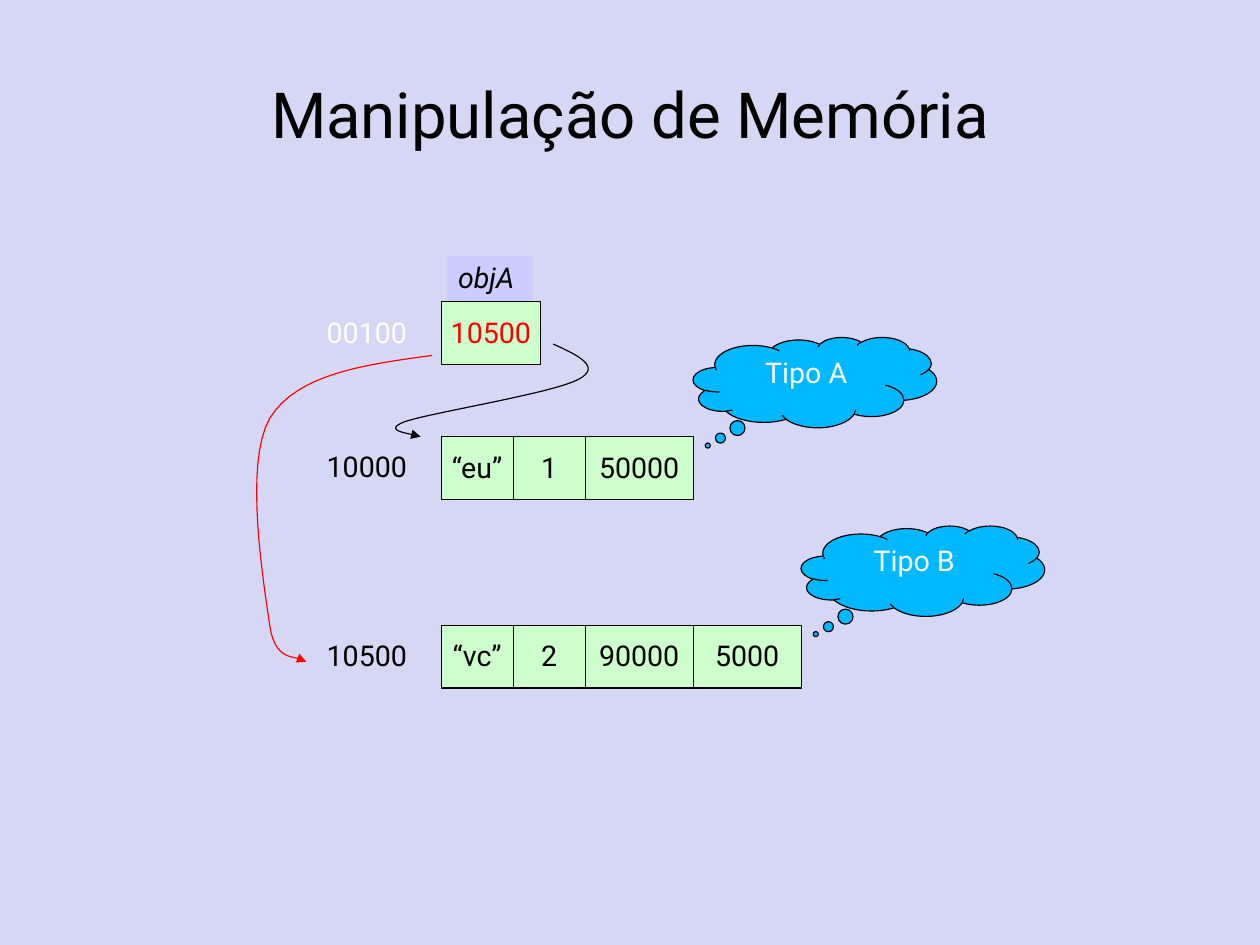
from itertools import accumulate

from lxml.etree import SubElement
from pptx import Presentation
from pptx.dml.color import RGBColor
from pptx.enum.shapes import MSO_SHAPE
from pptx.enum.text import MSO_ANCHOR, PP_ALIGN
from pptx.oxml.ns import qn
from pptx.util import Cm, Inches, Pt

WIDTH, HEIGHT = Cm(28), Cm(21)
LILAC = RGBColor(0xD6, 0xD6, 0xF5)
VIOLET = RGBColor(0xCC, 0xCC, 0xFF)
GREEN = RGBColor(0xCC, 0xFF, 0xCC)
BLUE = RGBColor(0x00, 0xB8, 0xFF)
RED = RGBColor(0xFF, 0x00, 0x00)
BLACK = RGBColor(0x00, 0x00, 0x00)
WHITE = RGBColor(0xFF, 0xFF, 0xFF)

LEFT = 3.86  # left edge of the memory cells
UNIT = 0.63 / 2  # one column of the cell grid
CELL_H = 0.55
ROWS = {"ref": 2.64, "a": 3.82, "b": 5.47}
SPANS = (2, 2, 3, 3)  # columns taken by each field of a record
STEPS = 16


def write(shape, text, color=BLACK, size=18, align=PP_ALIGN.CENTER,
          anchor=MSO_ANCHOR.MIDDLE, wrap=False, italic=False):
    frame = shape.text_frame
    frame.word_wrap = wrap
    frame.vertical_anchor = anchor
    par = frame.paragraphs[0]
    par.alignment = align
    par.line_spacing = 0.97
    run = par.add_run()
    run.text = text
    font = run.font
    font.name, font.size, font.italic = "Roboto", Pt(size), italic
    font.color.rgb = color


def add_box(slide, kind, box, fill, line=BLACK):
    shape = slide.shapes.add_shape(kind, *map(Inches, box))
    shape.shadow.inherit = False
    shape.fill.solid()
    shape.fill.fore_color.rgb = fill
    if line is None:
        shape.line.fill.background()
    else:
        shape.line.color.rgb = line
        shape.line.width = Pt(0.75)
    return shape


def add_cell(slide, left, top, width, text, color=BLACK):
    box = (left, top, width, CELL_H)
    write(add_box(slide, MSO_SHAPE.RECTANGLE, box, GREEN), text, color)


def add_label(slide, top, text, color=BLACK):
    """Write a memory address to the left of its row."""
    box = slide.shapes.add_textbox(*map(Inches, (2.76, top + 0.08, 1.02, 0.39)))
    write(box, text, color, align=PP_ALIGN.LEFT, anchor=MSO_ANCHOR.TOP, wrap=True)


def add_cloud(slide, left, top, text):
    cloud = add_box(slide, MSO_SHAPE.CLOUD_CALLOUT, (left, top, 2.13, 0.79), BLUE)
    cloud.adjustments[0] = -0.44
    cloud.adjustments[1] = 0.7
    write(cloud, text, WHITE, anchor=MSO_ANCHOR.TOP, wrap=True)


def add_record(slide, top, address, fields, kind):
    """Draw an address, its row of fields and the cloud that names the type."""
    add_label(slide, top, address)
    edges = [LEFT + UNIT * n for n in accumulate(SPANS, initial=0)]
    for text, left, span in zip(fields, edges, SPANS):
        add_cell(slide, left, top, UNIT * span, text)
    add_cloud(slide, edges[len(fields)], top - 0.87, kind)


def bezier(knots, t):
    """Give the point at t on a cubic curve."""
    u = 1 - t
    parts = (u ** 3, 3 * u * u * t, 3 * u * t * t, t ** 3)
    return tuple(Inches(sum(w * k[axis] for w, k in zip(parts, knots)))
                 for axis in (0, 1))


def add_curve(slide, knots, color):
    """Draw an arrow along joined cubic curves, three knots to a curve."""
    points = [bezier(knots[i:i + 4], step / STEPS)
              for i in range(0, len(knots) - 1, 3)
              for step in range(1, STEPS + 1)]
    pen = slide.shapes.build_freeform(*map(Inches, knots[0]))
    pen.add_line_segments(points, close=False)
    curve = pen.convert_to_shape()
    curve.shadow.inherit = False
    curve.fill.background()
    curve.line.color.rgb = color
    curve.line.width = Pt(0.75)
    line = curve.element.spPr.find(qn("a:ln"))
    SubElement(line, qn("a:tailEnd"), type="triangle")


def main():
    deck = Presentation()
    deck.slide_width, deck.slide_height = WIDTH, HEIGHT
    slide = deck.slides.add_slide(deck.slide_layouts[6])
    back = slide.background.fill
    back.solid()
    back.fore_color.rgb = LILAC

    title = slide.shapes.add_textbox(
        int(WIDTH * 0.05), int(HEIGHT * 0.04), int(WIDTH * 0.9), Inches(1.38))
    write(title, "Manipulação de Memória", size=40, wrap=True)

    add_label(slide, ROWS["ref"], "00100", WHITE)
    name = add_box(slide, MSO_SHAPE.RECTANGLE, (3.91, 2.24, 0.75, 0.39), VIOLET, None)
    write(name, "objA", align=PP_ALIGN.LEFT, anchor=MSO_ANCHOR.TOP, italic=True)
    add_cell(slide, LEFT, ROWS["ref"], 0.87, "10500", RED)

    add_record(slide, ROWS["a"], "10000", ("“eu”", "1", "50000"), "Tipo A")
    add_record(slide, ROWS["b"], "10500", ("“vc”", "2", "90000", "5000"), "Tipo B")

    add_curve(slide, [(4.84, 3.01), (5.06, 3.11), (5.27, 3.21), (5.06, 3.32),
                      (4.84, 3.44), (3.77, 3.61), (3.54, 3.69),
                      (3.31, 3.78), (3.66, 3.8), (3.68, 3.82)], BLACK)
    add_curve(slide, [(3.78, 3.11), (3.19, 3.19), (2.6, 3.27), (2.36, 3.66),
                      (2.13, 4.06), (2.31, 5.12), (2.36, 5.47),
                      (2.41, 5.83), (2.63, 5.72), (2.68, 5.79)], RED)
    deck.save("out.pptx")


if __name__ == "__main__":
    main()
